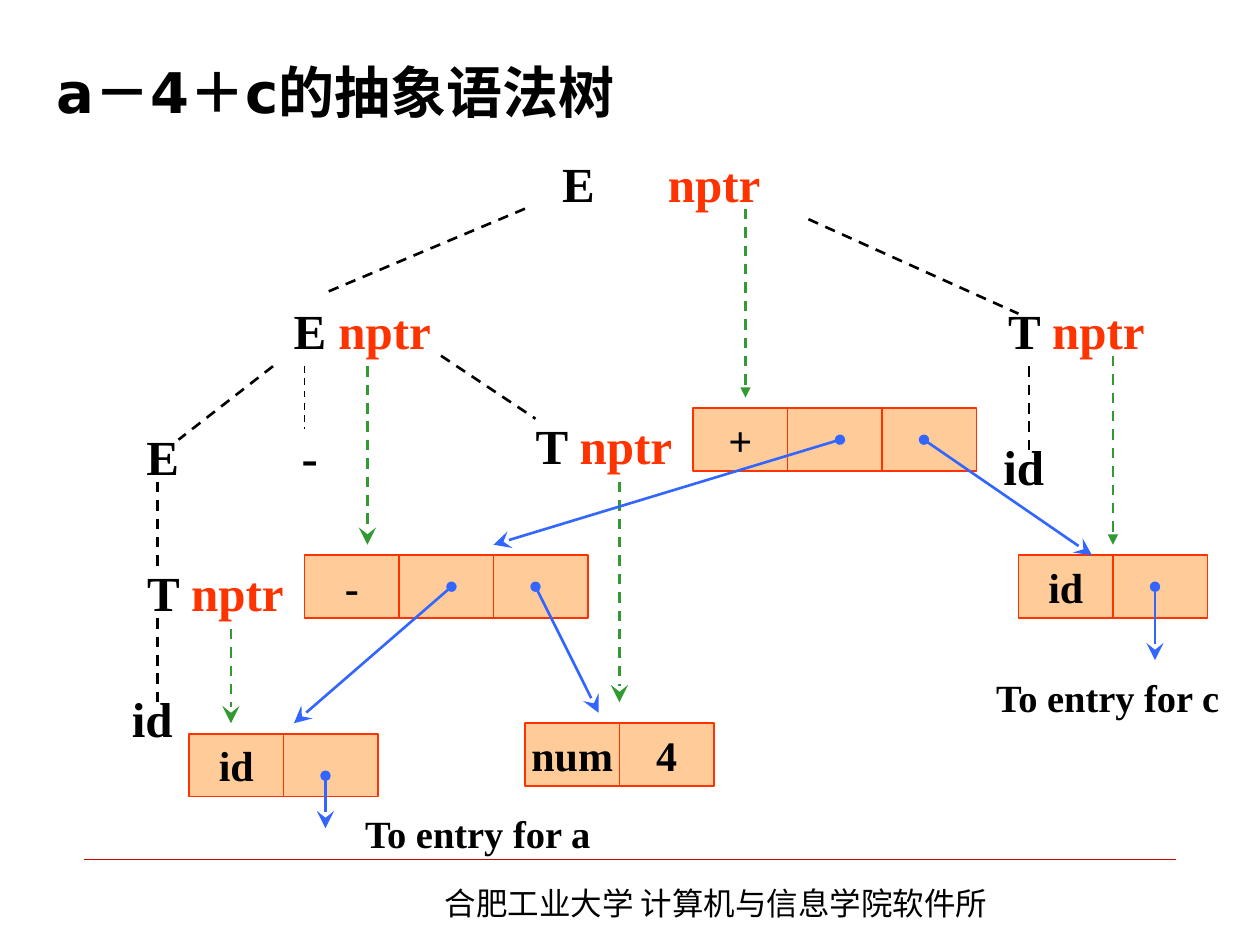
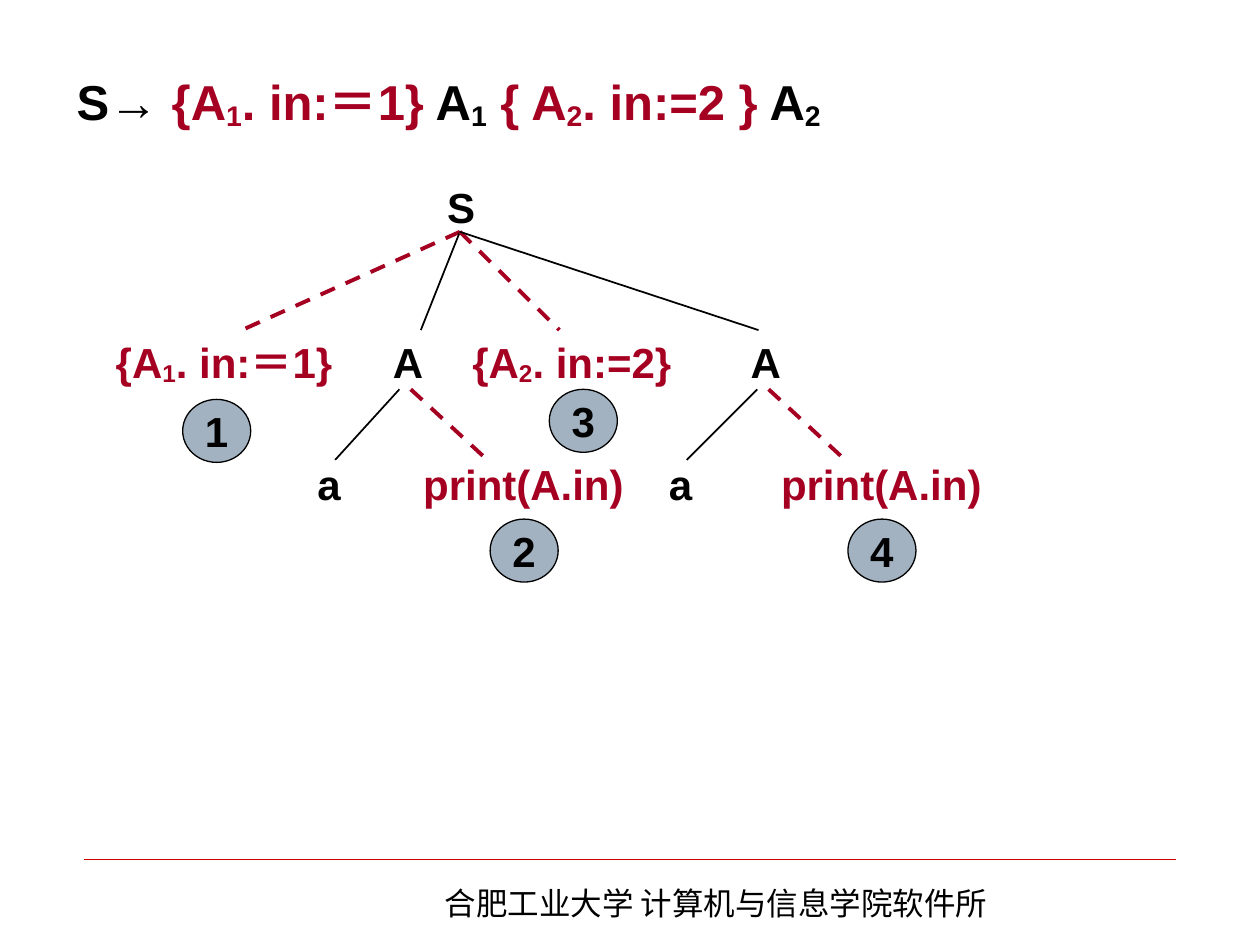
from dataclasses import dataclass
from typing import Any

from lxml import etree
from pptx import Presentation
from pptx import util as u
from pptx.dml.color import RGBColor
from pptx.enum import dml, shapes, text
from pptx.oxml import ns

HUES = {"ink": "000000", "ptr": "FF3300", "cell": "FFCC99", "green": "339933",
        "blue": "3366FF", "act": "A50021", "disc": "A3B2C1", "rule": "CC0000"}
SERIF, SANS, HEAD, HAN = "Times New Roman", "Arial", "DejaVu Sans", "Noto Sans CJK SC"
WIDE, HIGH = 10, 7.5
PART = WIDE / 100
STEP = WIDE / 120


@dataclass
class Grid:
    """A box on a slide, measured in equal columns and rows."""
    host: Any
    unit: float
    left: float = 0
    top: float = 0

    def at(self, x, y):
        """Give the place of a grid point."""
        return u.Inches(self.left + x * self.unit), u.Inches(self.top + y * self.unit)

    def size(self, w, h):
        """Give the size of a span of columns and rows."""
        return u.Inches(w * self.unit), u.Inches(h * self.unit)

    def sub(self, x, y):
        """Give a grid that starts at a point of this one."""
        return Grid(self.host, self.unit, self.left + x * self.unit, self.top + y * self.unit)


def hue(name):
    """Look up a colour."""
    return RGBColor.from_string(HUES[name])


def write(frame, runs, font, size, bold=True, mid=False):
    """Fill a frame run by run; a run is words, colour and baseline shift."""
    frame.word_wrap = not mid
    frame.vertical_anchor = text.MSO_ANCHOR.MIDDLE if mid else text.MSO_ANCHOR.TOP
    if mid:
        frame.margin_left = frame.margin_right = 0
    para = frame.paragraphs[0]
    para.alignment = text.PP_ALIGN.CENTER if mid else text.PP_ALIGN.LEFT
    for words, tone, *base in runs:
        run = para.add_run()
        run.text = words
        run.font.name, run.font.size, run.font.bold = font, u.Pt(size), bold
        run.font.color.rgb = hue(tone)
        props = run._r.get_or_add_rPr()
        etree.SubElement(props, ns.qn("a:ea")).set("typeface", HAN)
        if base:
            props.set("baseline", str(base[0] * 1000))


def label(grid, x, y, w, h, runs, font, size, **style):
    """Add a text box."""
    box = grid.host.shapes.add_textbox(*grid.at(x, y), *grid.size(w, h))
    write(box.text_frame, runs, font, size, **style)
    return box


def solid(grid, kind, x, y, w, h, fill, edge, width):
    """Add a filled shape with an outline."""
    form = grid.host.shapes.add_shape(kind, *grid.at(x, y), *grid.size(w, h))
    form.shadow.inherit = False
    form.fill.solid()
    form.fill.fore_color.rgb = hue(fill)
    form.line.color.rgb = hue(edge)
    form.line.width = u.Pt(width)
    return form


def link(grid, ends, tone, width, dash=False, head=None, tail=None):
    """Draw a straight line, dashed or with arrowheads if asked."""
    line = grid.host.shapes.add_connector(
        shapes.MSO_CONNECTOR.STRAIGHT, *grid.at(*ends[:2]), *grid.at(*ends[2:]))
    line.line.color.rgb = hue(tone)
    line.line.width = u.Pt(width)
    if dash:
        line.line.dash_style = dml.MSO_LINE.DASH
    stroke = line.line._get_or_add_ln()
    for tag, kind in (("a:headEnd", head), ("a:tailEnd", tail)):
        if kind:
            tip = etree.SubElement(stroke, ns.qn(tag))
            tip.set("type", kind)
            if kind == "stealth":
                tip.set("w", "lg")
                tip.set("len", "lg")
    etree.SubElement(line._element.spPr, ns.qn("a:effectLst"))


def start(deck):
    """Add a blank slide with the shared footer."""
    slide = deck.slides.add_slide(deck.slide_layouts[6])
    grid = Grid(slide, PART)
    link(grid, (6.7, 68.2, 93.3, 68.2), "rule", 0.25)
    label(grid, 34.3, 69.7, 52, 4, [("合肥工业大学 计算机与信息学院软件所", "ink")],
          HAN, 18, bold=False)
    return grid


def cells(grid, x, y, *words):
    """Place a record of equal cells in one group."""
    group = Grid(grid.host.shapes.add_group_shape(), grid.unit, grid.left, grid.top)
    for col, word in enumerate(words):
        form = solid(group, shapes.MSO_SHAPE.RECTANGLE, x + 9 * col, y, 9, 6,
                     "cell", "ptr", 1)
        if word:
            write(form.text_frame, [(word, "ink")], SERIF, 24, mid=True)


def syntax(grid):
    """Place the parse tree, its records and the pointers between them."""
    for x, y, name in ((47.6, 14, "E"), (8, 40, "E"), (7, 65, "id"),
                       (22, 40, "-"), (90, 41, "id")):
        label(grid, x, y, 15, 7, [(name, "ink")], SERIF, 28, mid=True)
    label(grid, 60.5, 14, 15, 7, [("nptr", "ptr")], SERIF, 28, mid=True)
    for x, y, name in ((27, 28, "E "), (95, 28, "T "), (13, 53, "T "), (50, 39, "T ")):
        label(grid, x, y, 15, 7, [(name, "ink"), ("nptr", "ptr")], SERIF, 28, mid=True)
    for x, y, name in ((33, 76, "a"), (93, 63, "c")):
        label(grid, x, y, 25, 7, [("To entry for " + name, "ink")], SERIF, 22, mid=True)

    cells(grid, 97, 53, "id", "")
    cells(grid, 29, 53, "-", "", "")
    cells(grid, 18, 70, "id", "")
    cells(grid, 50, 69, "num", "4")
    cells(grid, 66, 39, "+", "", "")

    for ends in ((50, 20, 31, 28), (26, 35, 17, 42), (77, 21, 97, 30), (15, 46, 15, 54),
                 (15, 59, 15, 67), (42, 34, 51, 40), (98, 35, 98, 43)):
        link(grid, ends, "ink", 1.5, dash=True)
    link(grid, (29, 35, 29, 41), "ink", 1, dash=True)
    for x, top, end, tip in ((71, 20, 38, "triangle"), (106, 34, 52, "triangle"),
                             (35, 35, 52, "stealth"), (59, 46, 67, "stealth"),
                             (22, 60, 69, "stealth")):
        link(grid, (x, top, x, end), "green", 1.5, dash=True, tail=tip)
    for ends in ((43, 56, 28, 69), (51, 56, 57, 68), (80, 42, 47, 52),
                 (88, 42, 104, 53), (31, 74, 31, 79), (110, 56, 110, 63)):
        link(grid, ends, "blue", 1.5, head="oval", tail="stealth")


def disc(grid, x, y, mark):
    """Place a numbered disc."""
    form = solid(grid, shapes.MSO_SHAPE.OVAL, x, y, 5.4, 5, "disc", "ink", 0.75)
    write(form.text_frame, [(mark, "ink")], SANS, 24, mid=True)


def branch(grid, leaf, mark):
    """Place a node A with its leaf, its action and a numbered disc."""
    for x, y, w, word, tone in ((0, 0, 6, "A", "ink"), (leaf, 9.7, 6.4, "a", "ink"),
                                (2.4, 9.7, 18.9, "print(A.in)", "act")):
        label(grid, x, y, w, 5, [(word, tone)], SANS, 24)
    link(grid, (1.5, 4.7, leaf + 2.4, 10.3), "ink", 1)
    link(grid, (2.4, 4.7, 8.8, 10.6), "act", 2.25, dash=True)
    disc(grid, 8.7, 15, mark)


def order(grid):
    """Place the tree that shows the order of the actions."""
    label(grid, 26.3, 0, 5.4, 5, [("S", "ink")], SANS, 24)
    for x, w, low, rest in ((0, 21.3, "1", ". in:＝1}"), (28.3, 18.9, "2", ". in:=2}")):
        label(grid, x, 12.3, w, 5.1,
              [("{A", "act"), (low, "act", -11), (rest, "act")], SANS, 24)
    for x, tone in ((11, "act"), (25.2, "ink"), (36.2, "act"), (52, "ink")):
        act = tone == "act"
        link(grid, (28.3, 4.5, x, 12.3), tone, 2.25 if act else 1, dash=act)
    branch(grid.sub(22, 12.3), -6, "2")
    branch(grid.sub(50.4, 12.3), -6.5, "4")
    disc(grid, 6.3, 17.8, "1")
    disc(grid, 35.4, 17, "3")


def main():
    """Build both slides and save them."""
    deck = Presentation()
    deck.slide_width, deck.slide_height = u.Inches(WIDE), u.Inches(HIGH)

    grid = start(deck)
    title = label(grid, 2, 2.1, 87.5, 10.2, [("a－4＋c的抽象语法树", "ink")], HEAD, 32)
    title.text_frame.vertical_anchor = text.MSO_ANCHOR.MIDDLE
    title.text_frame.margin_left = u.Inches(0.25)
    syntax(Grid(grid.host, STEP, 0, -0.01))

    grid = start(deck)
    label(grid, 5.1, 5.2, 76.4, 5.8, [
        ("S→ ", "ink"), ("{A", "act"), ("1", "act", -12), (". in:＝1}", "act"),
        (" A", "ink"), ("1", "ink", -12), (" { A", "act"), ("2", "act", -12),
        (". in:=2 }", "act"), (" A", "ink"), ("2", "ink", -12)], SANS, 28)
    order(grid.sub(8.2, 13.9))
    deck.save("out.pptx")


if __name__ == "__main__":
    main()
